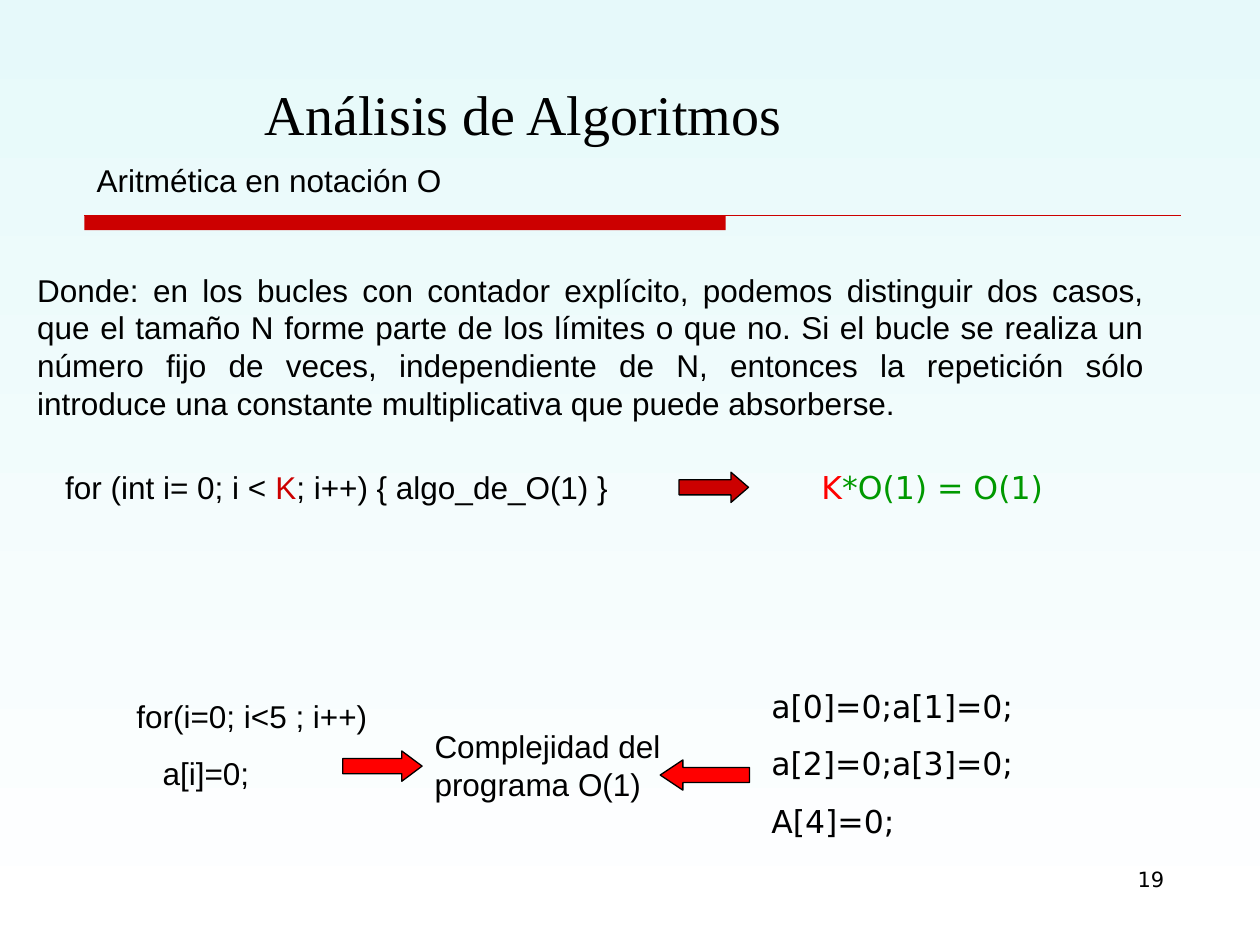
from dataclasses import dataclass

from lxml.etree import SubElement
from pptx import Presentation
from pptx.dml.color import RGBColor
from pptx.enum.shapes import MSO_CONNECTOR, MSO_SHAPE
from pptx.enum.text import PP_ALIGN
from pptx.oxml.ns import qn
from pptx.slide import Slide
from pptx.util import Cm, Pt

BLACK = RGBColor(0x00, 0x00, 0x00)
DARK_RED = RGBColor(0xCC, 0x00, 0x00)
RED = RGBColor(0xFF, 0x00, 0x00)
GREEN = RGBColor(0x00, 0x99, 0x00)
SKY = RGBColor(0xE6, 0xF9, 0xFA)
WHITE = RGBColor(0xFF, 0xFF, 0xFF)

SANS = "Arial"
WIDE = "DejaVu Sans"
SERIF = "Times New Roman"

RULE_LEFT, RULE_TOP, RULE_RIGHT = 1.7, 4.34, 23.8
ARROW_HEIGHT = 0.61

Line = list[tuple[str, RGBColor]]


@dataclass(frozen=True)
class Passage:
    left: float
    top: float
    width: float
    height: float
    lines: list[Line]
    font: str = SANS
    size: int = 18
    align: PP_ALIGN = PP_ALIGN.LEFT


@dataclass(frozen=True)
class Arrow:
    direction: MSO_SHAPE
    left: float
    top: float
    width: float
    head: float
    color: RGBColor


def plain(*texts: str) -> list[Line]:
    """Turn each text into a black line."""
    return [[(text, BLACK)] for text in texts]


PASSAGES = [
    Passage(3.61, 1.47, 13.89, 1.63, plain("Análisis de Algoritmos"), SERIF, 32, PP_ALIGN.CENTER),
    Passage(1.7, 3.12, 8.2, 1.02, plain("Aritmética en notación O")),
    Passage(0.5, 5.33, 22.81, 3.3, plain(
        "Donde: en los bucles con contador explícito, podemos distinguir dos casos, "
        "que el tamaño N forme parte de los límites o que no. Si el bucle se realiza "
        "un número fijo de veces, independiente de N, entonces la repetición sólo "
        "introduce una constante multiplicativa que puede absorberse."),
        align=PP_ALIGN.JUSTIFY),
    Passage(0.89, 9.32, 11.81, 1.02, [[
        (" for (int i= 0; i <", BLACK), (" K", DARK_RED), ("; i++) { algo_de_O(1) }", BLACK)]]),
    Passage(16.31, 9.32, 6.81, 1.02, [[("K", RED), ("*O(1) = O(1)", GREEN)]], WIDE),
    Passage(2.5, 13.92, 5.21, 2.18, plain("for(i=0; i<5 ; i++)", "   a[i]=0;")),
    Passage(8.51, 14.53, 5.21, 1.78, plain("Complejidad del programa O(1)")),
    Passage(15.3, 13.72, 5.79, 3.35, plain("a[0]=0;a[1]=0;", "a[2]=0;a[3]=0;", "A[4]=0;"), WIDE),
    Passage(18.21, 17.35, 5.51, 1.32, plain("19"), WIDE, 12, PP_ALIGN.RIGHT),
]

ARROWS = [
    Arrow(MSO_SHAPE.RIGHT_ARROW, 13.69, 9.52, 1.4, 0.58, DARK_RED),
    Arrow(MSO_SHAPE.RIGHT_ARROW, 6.91, 15.14, 1.6, 0.67, RED),
    Arrow(MSO_SHAPE.LEFT_ARROW, 13.31, 15.32, 1.8, 0.75, RED),
]


def paint_background(slide: Slide) -> None:
    """Fade the background from sky at the top to white."""
    fill = slide.background.fill
    fill.gradient()
    fill.gradient_angle = 270
    for stop, color in zip(fill.gradient_stops, (SKY, WHITE)):
        stop.color.rgb = color


def draw_title_rule(slide: Slide) -> None:
    """Draw the thick bar and the thin line under the heading."""
    bar = slide.shapes.add_shape(
        MSO_SHAPE.RECTANGLE, Cm(RULE_LEFT), Cm(RULE_TOP), Cm(12.93), Cm(0.3))
    bar.shadow.inherit = False
    bar.fill.solid()
    bar.fill.fore_color.rgb = DARK_RED
    bar.line.fill.background()
    rule = slide.shapes.add_connector(
        MSO_CONNECTOR.STRAIGHT, Cm(RULE_LEFT), Cm(RULE_TOP), Cm(RULE_RIGHT), Cm(RULE_TOP))
    rule.line.color.rgb = DARK_RED
    rule.line.width = Pt(0.75)
    SubElement(rule._element.spPr, qn("a:effectLst"))


def write_passage(slide: Slide, passage: Passage) -> None:
    """Add a text box with one paragraph per line."""
    frame = slide.shapes.add_textbox(
        Cm(passage.left), Cm(passage.top), Cm(passage.width), Cm(passage.height)).text_frame
    frame.word_wrap = True
    for index, line in enumerate(passage.lines):
        paragraph = frame.add_paragraph() if index else frame.paragraphs[0]
        if index:
            paragraph.space_before = Pt(11.2)
        paragraph.alignment = passage.align
        paragraph.font.name = passage.font
        paragraph.font.size = Pt(passage.size)
        for text, color in line:
            run = paragraph.add_run()
            run.text = text
            if len(line) > 1:
                run.font.color.rgb = color
            else:
                paragraph.font.color.rgb = color


def draw_arrow(slide: Slide, arrow: Arrow) -> None:
    """Add an outlined block arrow."""
    block = slide.shapes.add_shape(
        arrow.direction, Cm(arrow.left), Cm(arrow.top), Cm(arrow.width), Cm(ARROW_HEIGHT))
    block.shadow.inherit = False
    block.adjustments[0] = 0.5
    block.adjustments[1] = arrow.head
    block.fill.solid()
    block.fill.fore_color.rgb = arrow.color
    block.line.color.rgb = BLACK
    block.line.width = Pt(0.75)


def main() -> None:
    """Build and save the slide."""
    deck = Presentation()
    deck.slide_width, deck.slide_height = Cm(25.4), Cm(19.05)
    slide = deck.slides.add_slide(deck.slide_layouts[6])
    paint_background(slide)
    draw_title_rule(slide)
    for passage in PASSAGES:
        write_passage(slide, passage)
    for arrow in ARROWS:
        draw_arrow(slide, arrow)
    deck.save("out.pptx")


if __name__ == "__main__":
    main()
